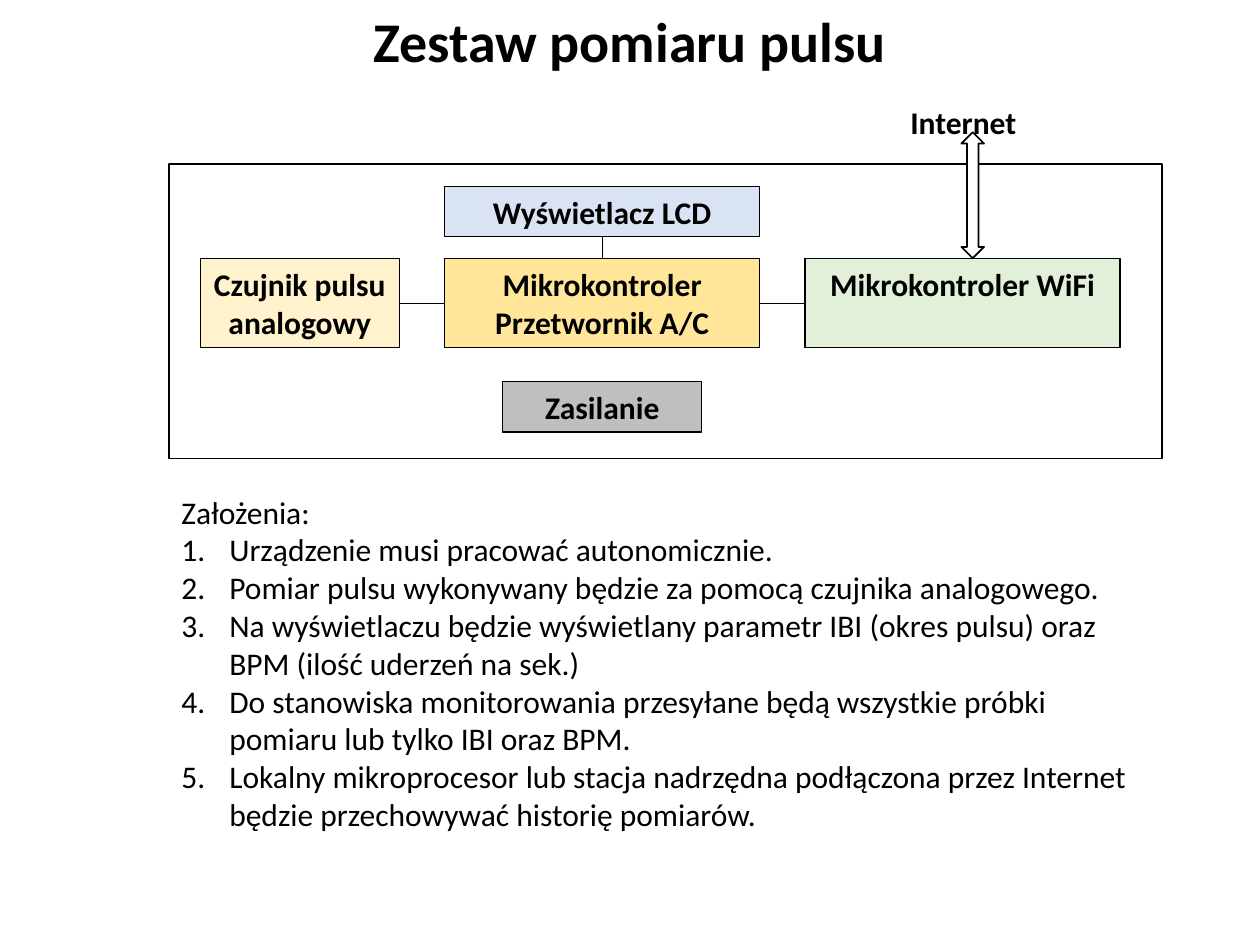
from dataclasses import dataclass
from itertools import accumulate

from lxml.etree import SubElement
from pptx import Presentation
from pptx.dml.color import RGBColor
from pptx.enum.shapes import MSO_CONNECTOR, MSO_SHAPE
from pptx.enum.text import MSO_ANCHOR, MSO_AUTO_SIZE, PP_ALIGN
from pptx.oxml.ns import qn
from pptx.util import Inches, Pt


@dataclass(frozen=True)
class Theme:
    """Colours, type sizes and line widths of the slide."""

    font: str = "Calibri"
    ink: str = "000000"
    paper: str = "FFFFFF"
    sensor: str = "FFF2CC"
    controller: str = "FFE699"
    display: str = "DAE3F3"
    wifi: str = "E2F0D9"
    power: str = "BFBFBF"
    title_size: int = 32
    text_size: int = 18
    frame_width: float = 1
    block_width: float = 0.75
    link_width: float = 0.5


THEME = Theme()
SLIDE_WIDTH, SLIDE_HEIGHT = 10, 7.5
COLUMN_WIDTHS, COLUMN_GAP = (1.58, 2.5, 2.5), 0.36
COLUMN_LEFTS = list(accumulate((w + COLUMN_GAP for w in COLUMN_WIDTHS[:-1]), initial=1.59))
ROWS = ((1.48, 0.4), (2.05, 0.71), (3.03, 0.4))
FRAME_LEFT = 1.34
NUMBER_INDENT = 0.38

BLOCKS = {
    "sensor": (0, 1, 1.58, ["Czujnik pulsu", "analogowy"], MSO_ANCHOR.MIDDLE),
    "controller": (1, 1, 2.5, ["Mikrokontroler", "Przetwornik A/C"], MSO_ANCHOR.MIDDLE),
    "display": (1, 0, 2.5, ["Wyświetlacz LCD"], MSO_ANCHOR.MIDDLE),
    "wifi": (2, 1, 2.5, ["Mikrokontroler WiFi"], MSO_ANCHOR.TOP),
    "power": (1, 2, 1.58, ["Zasilanie"], MSO_ANCHOR.MIDDLE),
}
TOP, LEFT, BOTTOM, RIGHT = range(4)
LINKS = (
    ("sensor", RIGHT, "controller", LEFT),
    ("controller", RIGHT, "wifi", LEFT),
    ("display", BOTTOM, "controller", TOP),
)
ASSUMPTIONS = (
    "Urządzenie musi pracować autonomicznie.",
    "Pomiar pulsu wykonywany będzie za pomocą czujnika analogowego.",
    "Na wyświetlaczu będzie wyświetlany parametr IBI (okres pulsu) oraz BPM (ilość uderzeń na sek.)",
    "Do stanowiska monitorowania przesyłane będą wszystkie próbki pomiaru lub tylko IBI oraz BPM.",
    "Lokalny mikroprocesor lub stacja nadrzędna podłączona przez Internet będzie przechowywać historię pomiarów.",
)


def apply_format(target, values):
    """Set each named attribute of the target."""
    for name, value in values.items():
        setattr(target, name, value)


def place(placeholder, left, top, width, height):
    """Move a placeholder to a box given in inches."""
    box = {"left": left, "top": top, "width": width, "height": height}
    apply_format(placeholder, {side: Inches(length) for side, length in box.items()})


def write(shape, lines, size=THEME.text_size, bold=True, align=PP_ALIGN.CENTER, anchor=MSO_ANCHOR.TOP):
    """Fill a shape with one paragraph per line."""
    frame = shape.text_frame
    frame.text = "\n".join(lines)
    apply_format(frame, {"word_wrap": True, "auto_size": MSO_AUTO_SIZE.NONE, "vertical_anchor": anchor})
    for paragraph in frame.paragraphs:
        apply_format(paragraph, {"alignment": align, "space_before": Pt(0)})
        for run in paragraph.runs:
            apply_format(run.font, {"name": THEME.font, "size": Pt(size), "bold": bold})
            run.font.color.rgb = RGBColor.from_string(THEME.ink)


def set_line(line, width):
    """Give a line the ink colour and a width in points."""
    line.color.rgb = RGBColor.from_string(THEME.ink)
    line.width = Pt(width)


def add_figure(slide, preset, left, top, width, height, line_width, fill=None):
    """Add an outlined preset shape, filled when a colour is given."""
    figure = slide.shapes.add_shape(preset, *map(Inches, (left, top, width, height)))
    figure.shadow.inherit = False
    set_line(figure.line, line_width)
    if fill:
        figure.fill.solid()
        figure.fill.fore_color.rgb = RGBColor.from_string(fill)
    else:
        figure.fill.background()
    return figure


def add_block(slide, role):
    """Add a labelled block centred in its grid column."""
    column, row, width, label, anchor = BLOCKS[role]
    top, height = ROWS[row]
    left = COLUMN_LEFTS[column] + (COLUMN_WIDTHS[column] - width) / 2
    block = add_figure(slide, MSO_SHAPE.RECTANGLE, left, top, width, height,
                       THEME.block_width, getattr(THEME, role))
    write(block, label, anchor=anchor)
    return block


def add_link(slide, source, source_side, target, target_side):
    """Join two blocks with a thin straight line."""
    link = slide.shapes.add_connector(MSO_CONNECTOR.STRAIGHT, 0, 0, 0, 0)
    link.begin_connect(source, source_side)
    link.end_connect(target, target_side)
    set_line(link.line, THEME.link_width)
    SubElement(link._element.spPr, qn("a:effectLst"))


def add_internet(slide):
    """Add the Internet label and its two-way arrow to the WiFi block."""
    length, thickness, centre_x = 1, 0.18, 7.72
    centre_y = ROWS[1][0] - length / 2
    arrow = add_figure(slide, MSO_SHAPE.LEFT_RIGHT_ARROW, centre_x - length / 2,
                       centre_y - thickness / 2, length, thickness, THEME.frame_width, THEME.paper)
    arrow.rotation = 90
    label = slide.shapes.add_textbox(*map(Inches, (6.7, 0.77, 1.89, 0.4)))
    write(label, ["Internet"])


def write_assumptions(body):
    """Write the heading and the numbered assumptions."""
    write(body, ["Założenia:", *ASSUMPTIONS], bold=False, align=PP_ALIGN.LEFT)
    for position, paragraph in enumerate(body.text_frame.paragraphs):
        properties = paragraph._p.get_or_add_pPr()
        indent = Inches(NUMBER_INDENT) if position else 0
        properties.set("marL", str(indent))
        properties.set("indent", str(-indent))
        if position:
            SubElement(properties, qn("a:buFont"), typeface="+mj-lt")
            SubElement(properties, qn("a:buAutoNum"), type="arabicPeriod")
        else:
            SubElement(properties, qn("a:buNone"))


def main():
    """Build and save the slide."""
    presentation = Presentation()
    apply_format(presentation, {"slide_width": Inches(SLIDE_WIDTH), "slide_height": Inches(SLIDE_HEIGHT)})
    slide = presentation.slides.add_slide(presentation.slide_layouts[1])
    title, body = slide.placeholders
    place(title, 0, 0, SLIDE_WIDTH, 0.64)
    write(title, ["Zestaw pomiaru pulsu"], size=THEME.title_size)
    place(body, FRAME_LEFT, 3.86, 7.72, 2.83)
    write_assumptions(body)

    add_figure(slide, MSO_SHAPE.RECTANGLE, FRAME_LEFT, 1.3, 7.88, 2.34, THEME.frame_width)
    blocks = {role: add_block(slide, role) for role in BLOCKS}
    for source, source_side, target, target_side in LINKS:
        add_link(slide, blocks[source], source_side, blocks[target], target_side)
    add_internet(slide)
    presentation.save("out.pptx")


if __name__ == "__main__":
    main()
